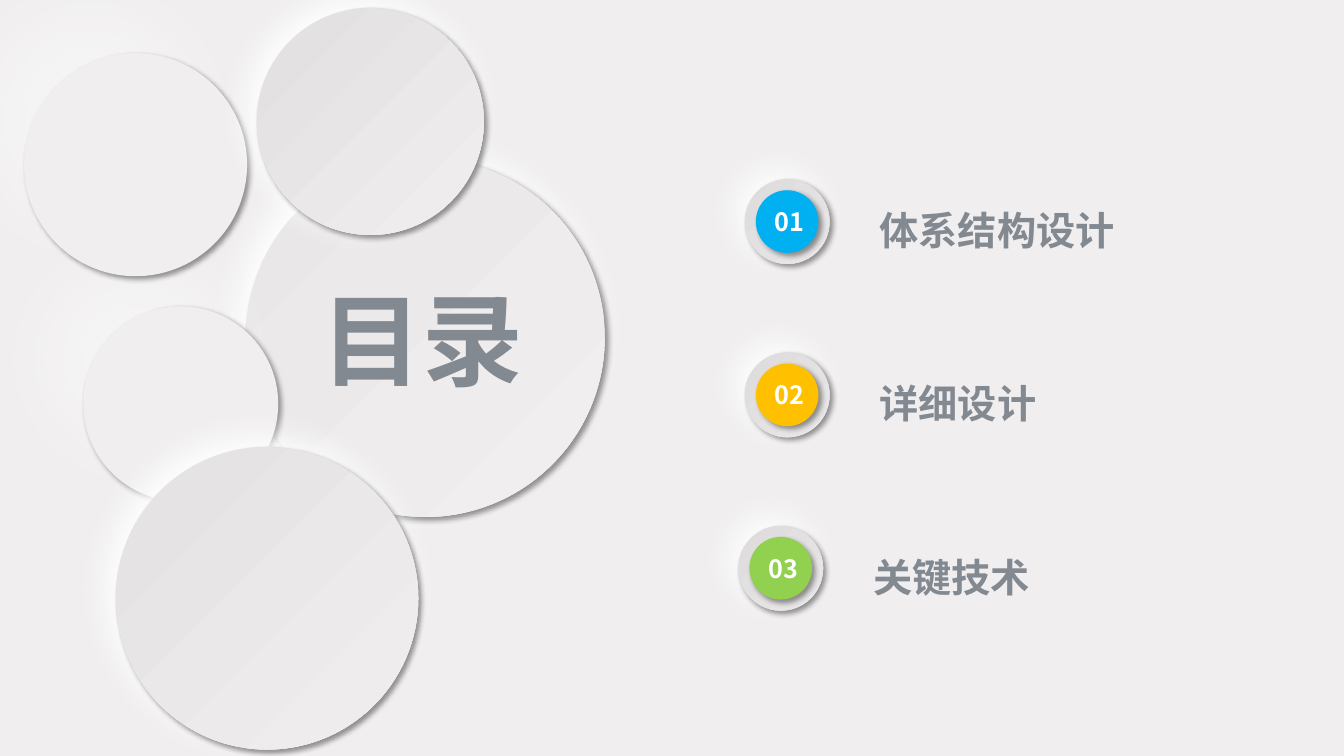
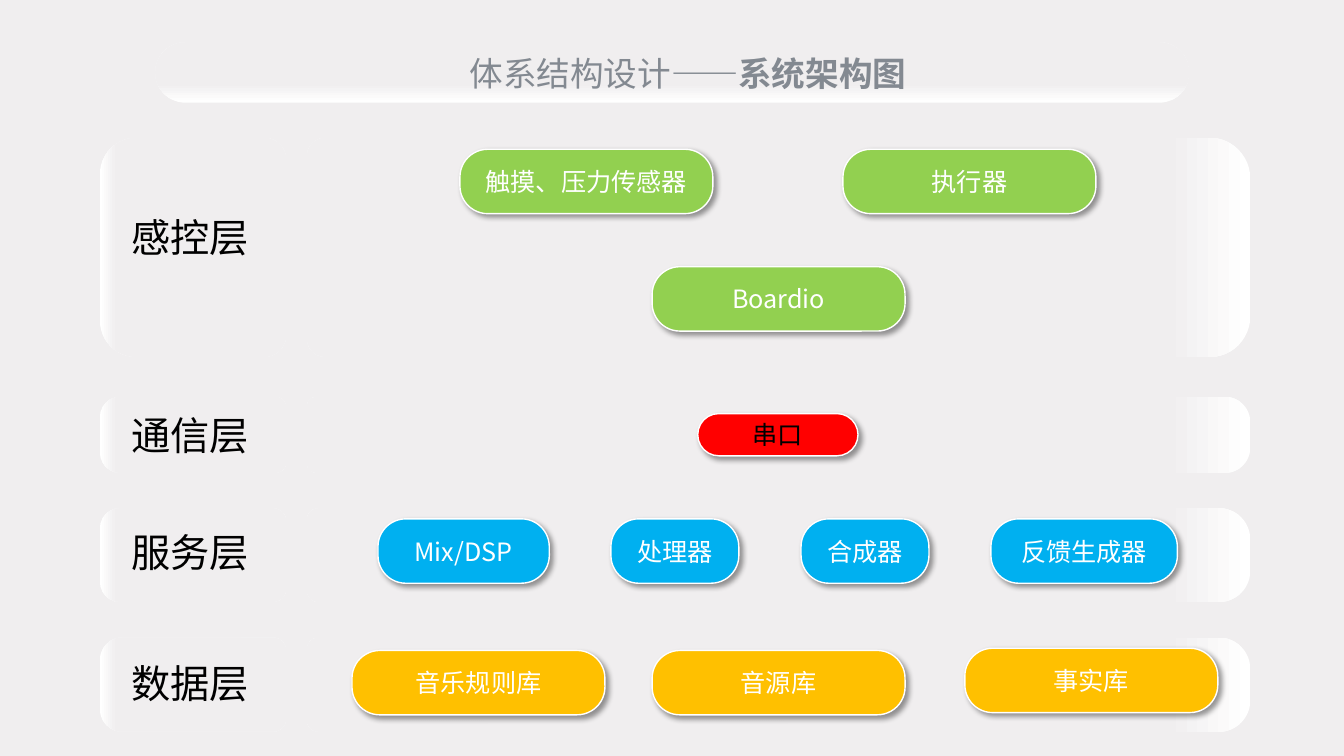
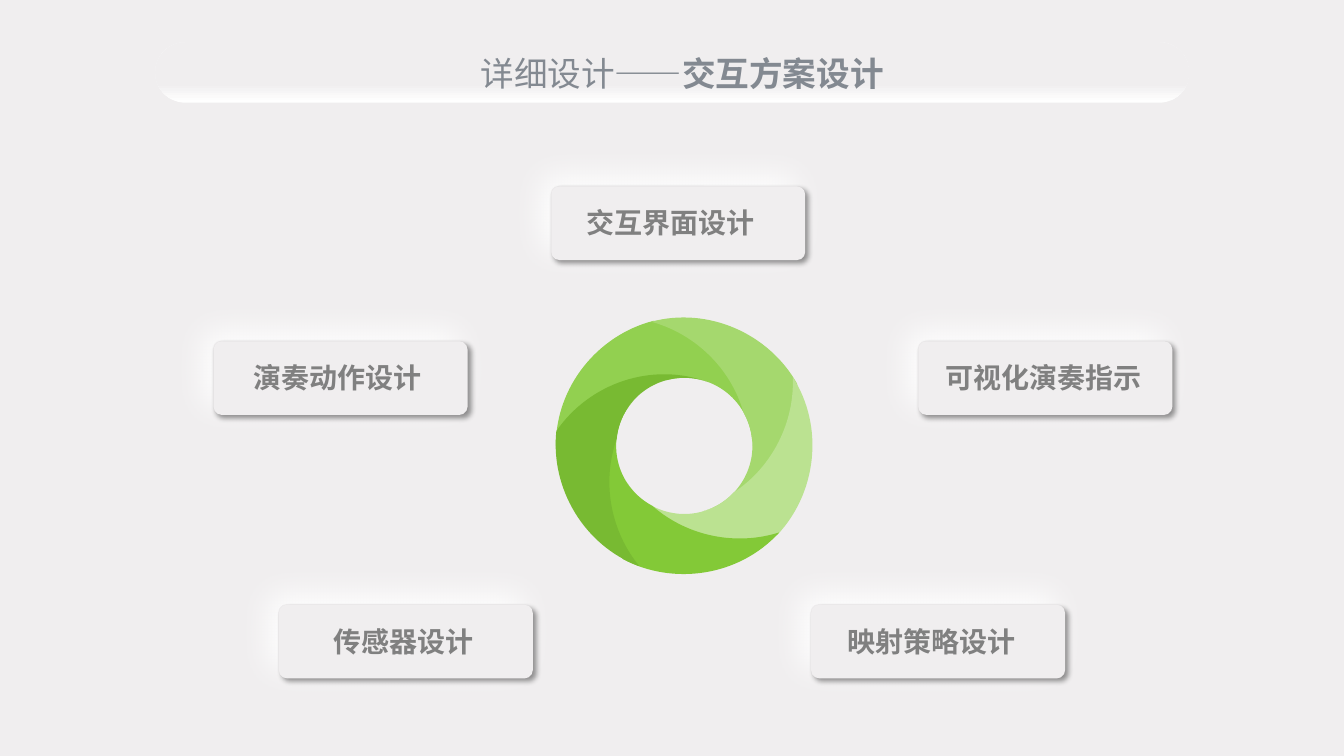
import math

from lxml import etree
from pptx import Presentation
from pptx import util as u
from pptx.dml.color import RGBColor
from pptx.enum import shapes, text
from pptx.oxml.ns import qn

Pt = u.Pt
SHAPE = shapes.MSO_SHAPE
FONT = "Noto Sans CJK SC"
BG, SLATE, GREY, WHITE, BLACK = "F0EEEF", "838991", "808080", "FFFFFF", "000000"
BLUE, AMBER, GREEN, RED = "00B0F0", "FFC000", "92D050", "FF0000"
# Shadows: colour, opacity %, blur, distance, direction
DROP = (BLACK, 40, 4, 3, 45)
GLOW = (WHITE, 100, 24, 10, 225)
SOFT_GLOW = (WHITE, 40, 55, 46, 225)
RIM = 0.5


def rgb(value):
    """Turn a hex string into a colour."""
    return RGBColor.from_string(value)


def paint(sp, fill):
    """Fill with a hex colour, or with (start, end, end position, clockwise angle)."""
    if isinstance(fill, str):
        sp.fill.solid()
        sp.fill.fore_color.rgb = rgb(fill)
        return
    start, end, position, angle = fill
    sp.fill.gradient()
    sp.fill.gradient_angle = 360 - angle
    first, last = sp.fill.gradient_stops
    first.color.rgb, first.position = rgb(start), 0
    last.color.rgb, last.position = rgb(end), position


def cast(sp, shadow):
    """Give a shape an outer shadow."""
    color, alpha, blur, dist, angle = shadow
    effects = sp._element.spPr.find(qn("a:effectLst"))
    outer = etree.SubElement(effects, qn("a:outerShdw"), blurRad=str(Pt(blur)),
                             dist=str(Pt(dist)), dir=str(angle * 60000), rotWithShape="0")
    clr = etree.SubElement(outer, qn("a:srgbClr"), val=color)
    etree.SubElement(clr, qn("a:alpha"), val=str(alpha * 1000))


def shape(s, kind, box, fill, shadow=None, adj=(), line=None):
    """Add a preset shape in box (left, top, width, height)."""
    sp = s.shapes.add_shape(kind, *map(Pt, box))
    for i, value in enumerate(adj):
        sp.adjustments[i] = value
    paint(sp, fill)
    if line:
        sp.line.color.rgb = rgb(line)
        sp.line.width = Pt(1)
    else:
        sp.line.fill.background()
    sp.shadow.inherit = False
    if shadow:
        cast(sp, shadow)
    return sp


def write(tf, words, size, color, bold=False, align=None):
    """Fill a text frame with one paragraph and return it."""
    tf.word_wrap = True
    p = tf.paragraphs[0]
    p.add_run().text = words
    if align:
        p.alignment = align
    p.font.size, p.font.bold = Pt(size), bold
    p.font.color.rgb = rgb(color)
    p.font.name = FONT
    etree.SubElement(p._p.pPr.find(qn("a:defRPr")), qn("a:ea"), typeface=FONT)
    return p


def label(s, box, words, size, color, bold=False, align=None):
    """Add a text box that grows with its text and return its paragraph."""
    tf = s.shapes.add_textbox(*map(Pt, box)).text_frame
    tf.auto_size = text.MSO_AUTO_SIZE.SHAPE_TO_FIT_TEXT
    return write(tf, words, size, color, bold, align)


def raised(s, kind, box, fill, glow=GLOW, base="F2F2F2", adj=()):
    """Add an embossed shape: a glowing rim under a face with a drop shadow."""
    x, y, w, h = box
    rim = (x - RIM, y - RIM, w + 2 * RIM, h + 2 * RIM)
    shape(s, kind, rim, base, glow, adj)
    shape(s, kind, box, fill, DROP, adj)


def disc(s, x, y, d, fill, glow=GLOW):
    """Add an embossed circle of diameter d."""
    raised(s, SHAPE.OVAL, (x, y, d, d), fill, glow)


def new_slide(prs):
    """Add a blank slide with the shared background."""
    s = prs.slides.add_slide(prs.slide_layouts[6])
    s.background.fill.solid()
    s.background.fill.fore_color.rgb = rgb(BG)
    return s


def title(s, x, w, section, topic):
    """Add the title band with a plain section name and a bold topic."""
    g = s.shapes.add_group_shape()
    shape(g, SHAPE.ROUNDED_RECTANGLE, (110.9, 30.2, 738.7, 43.2),
          (WHITE, BG, 0.32, 270), adj=[0.5])
    p = label(g, (x, 34, w, 36), section + "——", 24, SLATE)
    r = p.add_run()
    r.text = topic
    r.font.bold = True


def agenda_item(s, x, y, number, color, words):
    """Add a numbered badge at x, y with its heading to the right."""
    label(s, (x + 89.2, y + 15.8, 207, 41), words, 28, SLATE, True)
    g = s.shapes.add_group_shape()
    disc(g, x, y, 60.5, ("DDDBDC", "E9E7E8", 1, 45))
    shape(g, SHAPE.OVAL, (x + 7.8, y + 7.8, 44.8, 44.8), color, DROP)
    label(g, (x + 14.2, y + 15.8, 42.5, 28.8), f"{number:02}", 18, WHITE, True)


def agenda(prs):
    """Build the contents slide."""
    s = new_slide(prs)
    disc(s, 175.7, 113, 256.3, ("E9E7E8", BG, 1, 45))
    disc(s, 59.5, 218.9, 139.2, BG, SOFT_GLOW)
    label(s, (222.5, 195.1, 183.6, 94.3), "目录", 72, SLATE, True)
    disc(s, 17.2, 38, 159.3, BG, SOFT_GLOW)
    disc(s, 183.6, 5.8, 162, ("E1DFE0", BG, 1, 45))
    disc(s, 82.8, 319.4, 216, ("E3E1E2", BG, 1, 45))
    items = [(532.1, BLUE, "体系结构设计"), (532.1, AMBER, "详细设计"),
             (527.5, GREEN, "关键技术")]
    for i, (x, color, words) in enumerate(items):
        agenda_item(s, x, 128.1 + 123.8 * i, i + 1, color, words)


def end_cap(s, box, rotation, adj):
    """Add a panel whose foot is turned to the left (90) or the right (270)."""
    x, y, w, h = box
    sp = shape(s, SHAPE.ROUND_2_SAME_RECTANGLE,
               (x + (w - h) / 2, y + (h - w) / 2, h, w), (WHITE, BG, 0.09, 270), adj=adj)
    sp.rotation = rotation


def layer(s, y, h, name, label_y, left_adj, right_adj):
    """Add a group with the two panels and the name of one layer, and return it."""
    g = s.shapes.add_group_shape()
    end_cap(g, (71.3, y, 133.2, h), 90, left_adj)
    end_cap(g, (219.2, y, 673.9, h), 270, right_adj)
    p = label(g, (76.2, label_y, 119.5, 51), name, 28, BLACK,
              align=text.PP_ALIGN.CENTER)
    p.line_spacing = 1.3
    return g


def chip(s, x, y, words, fill, w=180.7, h=46, color=WHITE, adj=0.432):
    """Add one component of a layer."""
    sp = shape(s, SHAPE.ROUNDED_RECTANGLE, (x, y, w, h), fill, DROP, [adj], WHITE)
    sp.text_frame.vertical_anchor = text.MSO_ANCHOR.MIDDLE
    write(sp.text_frame, words, 18, color, align=text.PP_ALIGN.CENTER)


def architecture(prs):
    """Build the layered architecture slide."""
    s = new_slide(prs)
    wide = (0.125, 0.332)
    service = layer(s, 363, 67, "服务层", 363.6, (0.144, 0.216), wide)
    for x, w, words in [(270, 122.4, "Mix/DSP"), (436.4, 91.4, "处理器"),
                        (707.8, 133.2, "反馈生成器"), (572.2, 91.4, "合成器")]:
        chip(service, x, 370.6, words, BLUE, w)

    data = layer(s, 455.4, 67.3, "数据层", 457.2, (0.144, 0.241), wide)
    for x, y, words in [(251.4, 464.6, "音乐规则库"), (465.8, 464.6, "音源库"),
                        (689.2, 463, "事实库")]:
        chip(data, x, y, words, AMBER)

    sensing = layer(s, 98.4, 156.6, "感控层", 139, (0.12, 0.197), (0.085, 0.185))
    for x, y, words in [(602.1, 106.6, "执行器"), (328.5, 106.6, "触摸、压力传感器"),
                        (465.8, 190.5, "Boardio")]:
        chip(sensing, x, y, words, GREEN)

    link = layer(s, 283.4, 54.4, "通信层", 280.1, (0.144, 0.269), wide)
    chip(link, 498.4, 295.4, "串口", RED, 114.5, 30.2, BLACK, 0.5)
    title(s, 328.3, 334.8, "体系结构设计", "系统架构图")


# Outline of one petal from the centre of the ring: two handles and an end per curve
PETAL = [(-91.8, 0),
         (-76, -27.4), (-45.7, -46.4), (-12.2, -47),
         (-8.2, -48), (-4.2, -48.6), (0.2, -48.6),
         (27, -48.6), (48.6, -26.8), (48.6, 0),
         (48.6, -42.5), (18.4, -79.2), (-22, -89.3),
         (-61.6, -79.2), (-91.8, -42.5), (-91.8, 0)]


def curve(sp):
    """Turn each three line segments of a freeform into one cubic curve."""
    outline = sp._element.spPr.find(".//" + qn("a:path"))
    lines = outline.findall(qn("a:lnTo"))
    for i in range(0, len(lines), 3):
        cubic = etree.Element(qn("a:cubicBezTo"))
        lines[i].addprevious(cubic)
        for line in lines[i:i + 3]:
            cubic.append(line[0])
            outline.remove(line)


def ring(s, cx, cy):
    """Add five overlapping petals turned around a centre."""
    g = s.shapes.add_group_shape()
    petals = [(0, GREEN), (75, "A5D86E"), (147.6, "BBE291"),
              (222.3, "83C937"), (290.4, "78BA32")]
    for turn, color in petals:
        cos, sin = math.cos(math.radians(turn)), math.sin(math.radians(turn))
        points = [(100 * (cx + x * cos - y * sin), 100 * (cy + x * sin + y * cos))
                  for x, y in PETAL]
        builder = g.shapes.build_freeform(*points[0], scale=Pt(1) / 100)
        builder.add_line_segments(points[1:], close=True)
        sp = builder.convert_to_shape()
        curve(sp)
        paint(sp, color)
        sp.line.fill.background()
        sp.shadow.inherit = False


def card(s, x, y, inset, words):
    """Add an embossed card with its text set in from the sides."""
    g = s.shapes.add_group_shape()
    w, h = 181.4, 52.6
    raised(g, SHAPE.ROUNDED_RECTANGLE, (x, y, w, h), BG, base=BG, adj=[0.113])
    label(g, (x + inset, y + 10.4, w - 2 * inset, 31.7), words, 20, GREY, True)


def interaction(prs):
    """Build the interaction design slide."""
    s = new_slide(prs)
    card(s, 393.8, 133.2, 18.1, "交互界面设计")
    ring(s, 488.8, 318.5)
    card(s, 152.6, 243.8, 21.6, "演奏动作设计")
    card(s, 199.2, 432, 31.7, "传感器设计")
    card(s, 579.4, 432, 18.7, "映射策略设计")
    card(s, 656, 243.8, 12.2, "可视化演奏指示")
    title(s, 336.1, 314.6, "详细设计", "交互方案设计")


prs = Presentation()
prs.slide_width, prs.slide_height = Pt(960), Pt(540)
agenda(prs)
architecture(prs)
interaction(prs)
prs.save("out.pptx")
